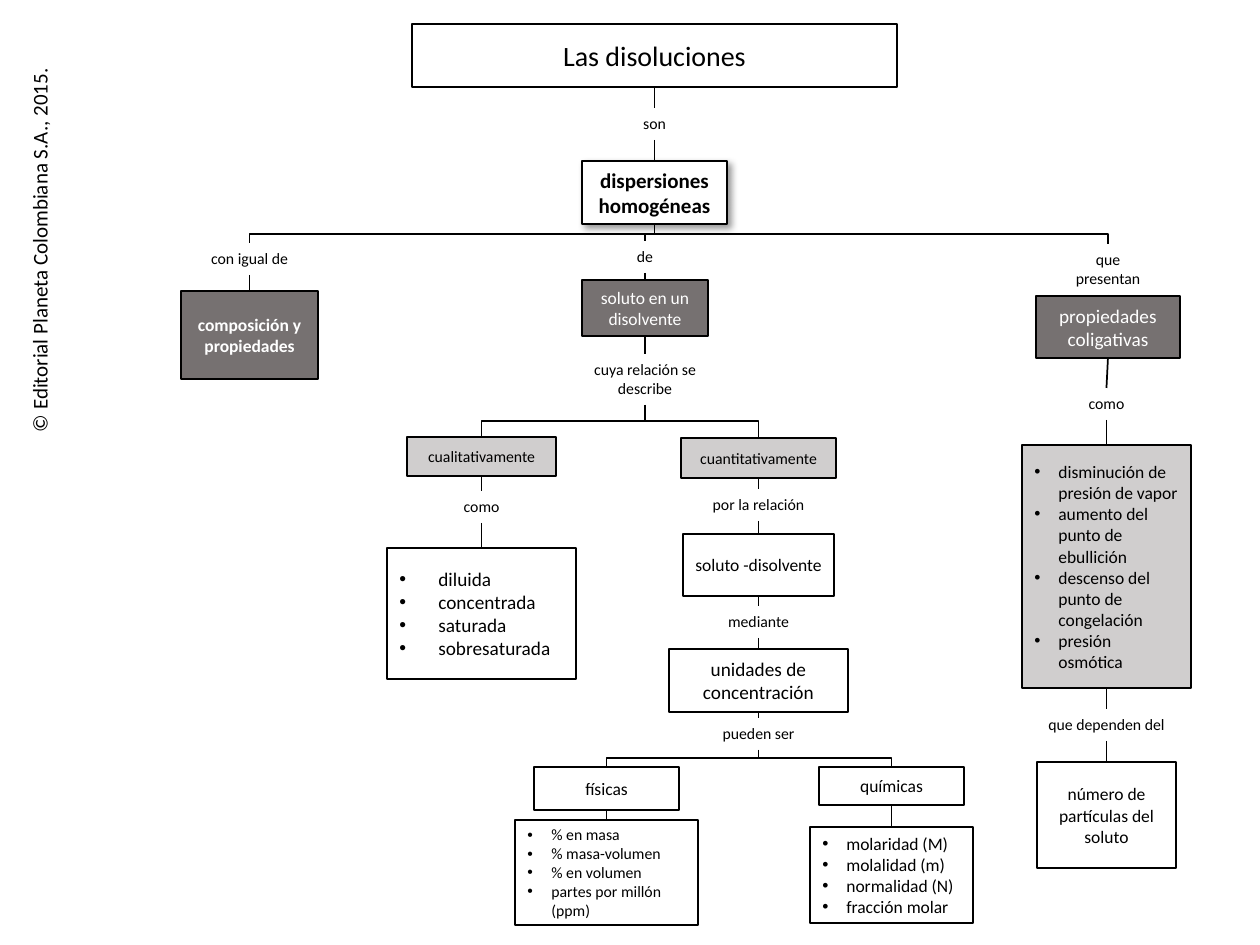
import dataclasses

import lxml.etree
import pptx
import pptx.dml.color
import pptx.enum.shapes
import pptx.enum.text
import pptx.oxml.ns
import pptx.util

PX = 914400 / 126  # EMU in one px
CENTER = pptx.enum.text.PP_ALIGN.CENTER
LEFT = pptx.enum.text.PP_ALIGN.LEFT


def emu(px):
    return pptx.util.Emu(round(px * PX))


def color(code):
    return pptx.dml.color.RGBColor.from_string(code)


def node(parent, tag, **attrs):
    return lxml.etree.SubElement(parent, pptx.oxml.ns.qn(tag), attrs)


@dataclasses.dataclass
class Theme:
    font: str = "Calibri"
    ink: str = "000000"
    white: str = "FFFFFF"
    dark: str = "767171"
    pale: str = "D0CECE"
    tiny: int = 9
    small: int = 10
    mid: int = 11
    large: int = 12
    title: int = 16
    line: int = 1


class Chart:
    """Concept map drawn on one slide."""

    def __init__(self, slide, theme):
        self.shapes = slide.shapes
        self.theme = theme

    def fill_text(self, shape, lines, size, ink=None, bold=False, align=CENTER, indent=0):
        frame = shape.text_frame
        for i, line in enumerate(lines):
            para = frame.paragraphs[0] if i == 0 else frame.add_paragraph()
            para.text = line
            para.alignment = align
            if indent:
                props = para._p.get_or_add_pPr()
                props.set("marL", str(emu(indent)))
                props.set("indent", str(-emu(indent)))
                node(props, "a:buFont", typeface="Arial")
                node(props, "a:buChar", char="•")
            font = para.font
            font.name = self.theme.font
            font.size = pptx.util.Pt(size)
            font.bold = bold
            font.color.rgb = color(ink or self.theme.ink)

    def box(self, text, x, y, w, h, size, fill=None, **style):
        kind = pptx.enum.shapes.MSO_SHAPE.RECTANGLE
        shape = self.shapes.add_shape(kind, emu(x), emu(y), emu(w), emu(h))
        shape.shadow.inherit = False
        shape.fill.solid()
        shape.fill.fore_color.rgb = color(fill or self.theme.white)
        shape.line.color.rgb = color(self.theme.ink)
        shape.line.width = pptx.util.Pt(self.theme.line)
        shape.text_frame.word_wrap = True
        shape.text_frame.vertical_anchor = pptx.enum.text.MSO_ANCHOR.MIDDLE
        lines = [text] if isinstance(text, str) else text
        self.fill_text(shape, lines, size, **style)
        return shape

    def bullets(self, items, x, y, w, h, size, fill=None, indent=24):
        return self.box(items, x, y, w, h, size, fill, align=LEFT, indent=indent)

    def label(self, text, x, y, w, h=32, size=None, wrap=True, align=CENTER):
        shape = self.shapes.add_textbox(emu(x), emu(y), emu(w), emu(h))
        shape.text_frame.word_wrap = wrap
        shape.text_frame.auto_size = pptx.enum.text.MSO_AUTO_SIZE.SHAPE_TO_FIT_TEXT
        self.fill_text(shape, [text], size or self.theme.tiny, align=align)
        return shape

    def shade(self, shape):
        effects = shape._element.spPr.find(pptx.oxml.ns.qn("a:effectLst"))
        outer = node(effects, "a:outerShdw", blurRad="50800", dist="38100", dir="2700000")
        tone = node(outer, "a:srgbClr", val=self.theme.ink)
        node(tone, "a:alpha", val="40000")

    def wire(self, kind, x1, y1, x2, y2):
        line = self.shapes.add_connector(kind, x1, y1, x2, y2)
        line.line.color.rgb = color(self.theme.ink)
        line.line.width = pptx.util.Pt(self.theme.line)
        node(line._element.spPr, "a:effectLst")
        return line

    def link(self, top, low):
        line = self.wire(pptx.enum.shapes.MSO_CONNECTOR.STRAIGHT, 0, 0, 0, 0)
        line.begin_connect(top, 2)
        line.end_connect(low, 0)

    def elbow(self, top, low, bend):
        """Go down from top, across at height bend, and down to low."""
        x1, y1 = top.left + top.width // 2, top.top + top.height
        x2, y2 = low.left + low.width // 2, low.top
        # The preset runs sideways, so it is laid flat and then turned
        w, h = y2 - y1, abs(x2 - x1)
        x, y = (x1 + x2 - w) // 2, (y1 + y2 - h) // 2
        line = self.wire(pptx.enum.shapes.MSO_CONNECTOR.ELBOW, x, y, x + w, y + h)
        props = line._element.spPr
        right = x2 > x1
        props.xfrm.set("rot", "16200000" if right else "5400000")
        if right:
            props.xfrm.set("flipH", "1")
        part = round((emu(bend) - y1) / w * 100000)
        guides = props.find(pptx.oxml.ns.qn("a:prstGeom")).get_or_add_avLst()
        node(guides, "a:gd", name="adj1", fmla=f"val {part}")


def main():
    deck = pptx.Presentation()
    deck.slide_width, deck.slide_height = emu(1260), emu(945)
    t = Theme()
    c = Chart(deck.slides.add_slide(deck.slide_layouts[6]), t)

    # Copyright line up the left edge
    note = c.label("© Editorial Planeta Colombiana S.A., 2015.", -157, 229, 393, 38,
                   t.large, wrap=False, align=LEFT)
    note.rotation = 270

    # Head of the map
    head = c.box("Las disoluciones", 412, 24, 485, 63, t.title)
    son = c.label("son", 534, 108, 241)
    core = c.box("dispersiones homogéneas", 582, 161, 145, 63, t.large, bold=True)
    c.shade(core)

    # Left branch
    equal = c.label("con igual de", 191, 243, 117)
    comp = c.box("composición y propiedades", 181, 291, 137, 88, t.small, t.dark,
                 ink=t.white, bold=True)

    # Middle branch
    of = c.label("de", 580, 241, 130)
    solute = c.box("soluto en un disolvente", 582, 280, 126, 56, t.small, t.dark,
                   ink=t.white)
    whose = c.label("cuya relación se describe", 580, 354, 130, 51)

    # Qualitative side
    qual = c.box("cualitativamente", 407, 437, 149, 39, t.tiny, t.pale)
    such = c.label("como", 410, 491, 143)
    kinds = c.bullets(["diluida", "concentrada", "saturada", "sobresaturada"],
                      387, 548, 189, 131, t.mid, indent=39)

    # Quantitative side
    quant = c.box("cuantitativamente", 681, 438, 155, 40, t.tiny, t.pale)
    ratio = c.label("por la relación", 688, 489, 141)
    pair = c.box("soluto -disolvente", 683, 534, 151, 62, t.small)
    means = c.label("mediante", 699, 606, 119)
    units = c.box("unidades de concentración", 669, 649, 179, 63, t.mid)
    can = c.label("pueden ser", 693, 718, 131)

    # Units of concentration
    phys = c.box("físicas", 534, 767, 145, 43, t.small)
    parts = c.bullets(["% en masa", "% masa-volumen", "% en volumen",
                       "partes por millón (ppm)"], 515, 820, 183, 105, t.tiny)
    chem = c.box("químicas", 819, 767, 145, 38, t.small)
    moles = c.bullets(["molaridad (M)", "molalidad (m)", "normalidad (N)",
                       "fracción molar"], 810, 827, 163, 96, t.small)

    # Right branch
    show = c.label("que presentan", 1051, 244, 114, 51)
    traits = c.box("propiedades coligativas", 1036, 296, 144, 62, t.mid, t.dark,
                   ink=t.white)
    like = c.label("como", 1056, 388, 101)
    drops = c.bullets(["disminución de presión de vapor",
                       "aumento del punto de ebullición",
                       "descenso del punto de congelación",
                       "presión osmótica"], 1022, 445, 169, 243, t.small, t.pale)
    hang = c.label("que dependen del", 1011, 709, 191)
    count = c.box("número de partículas del soluto", 1037, 762, 139, 106, t.small)

    # Straight links down each column
    for chain in ((head, son, core), (equal, comp), (of, solute, whose),
                  (qual, such, kinds), (quant, ratio, pair, means, units, can),
                  (phys, parts), (chem, moles),
                  (show, traits, like, drops, hang, count)):
        for top, low in zip(chain, chain[1:]):
            c.link(top, low)

    # Bent links where the map forks
    for top, bend, lows in ((core, 234, (equal, of, show)),
                            (whose, 421, (qual, quant)),
                            (can, 758, (phys, chem))):
        for low in lows:
            c.elbow(top, low, bend)

    deck.save("out.pptx")


if __name__ == "__main__":
    main()
